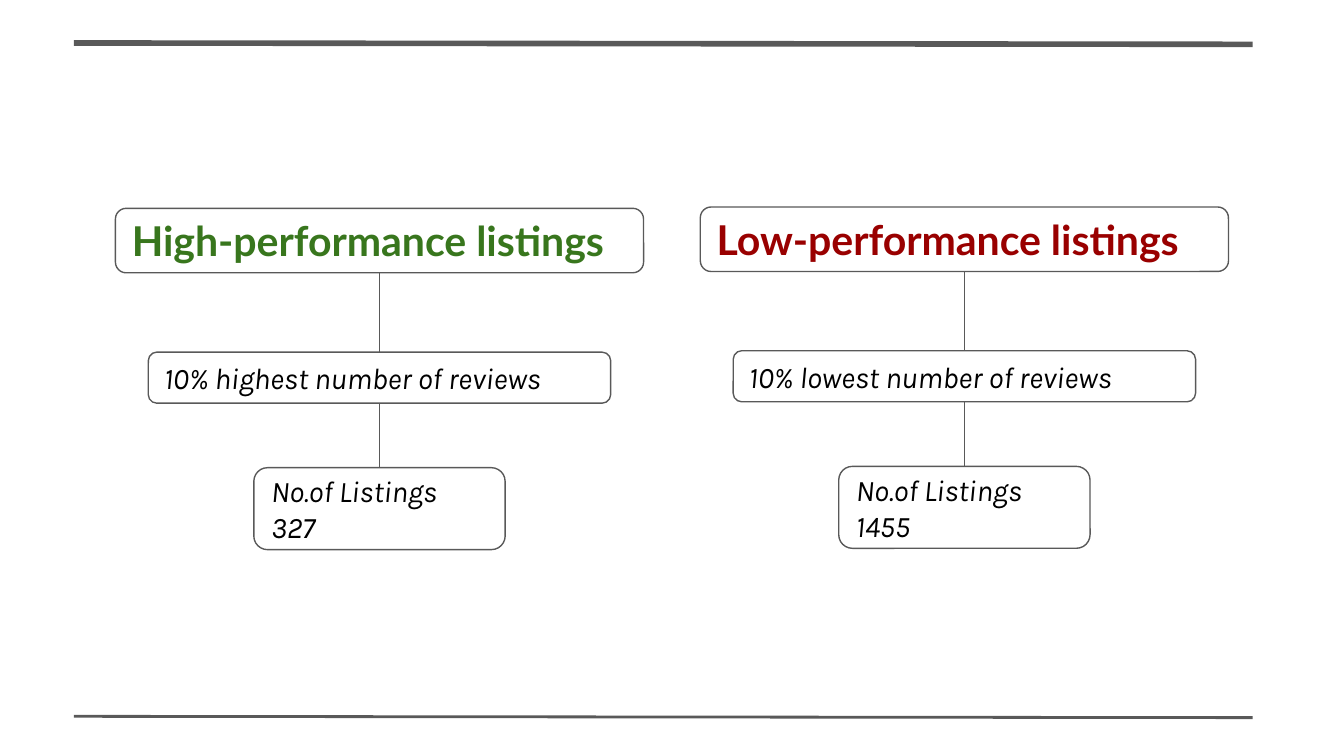
import pptx
import pptx.util
import pptx.dml.color
import pptx.enum.shapes
import pptx.enum.text
import pptx.oxml.ns
import lxml.etree
from dataclasses import dataclass


@dataclass(frozen=True)
class Theme:
    line: str = "595959"
    text: str = "000000"
    high: str = "38761D"
    low: str = "990000"
    heading_font: str = "Lato"
    body_font: str = "Karla"
    heading_size: float = 22
    body_size: float = 16
    thin: float = 0.75
    medium: float = 1.5
    thick: float = 3


def rgb(code):
    return pptx.dml.color.RGBColor.from_string(code)


class SlideBuilder:
    """Draws on one slide; lengths are cells of a grid with ten cells to the inch."""

    CELL = pptx.util.Inches(0.1)

    def __init__(self, slide, theme):
        self.slide = slide
        self.theme = theme

    def cells(self, *lengths):
        return [round(length * self.CELL) for length in lengths]

    def box(self, center, top, width, height, text, heading_color=None):
        """Rounded box centred on a column; a heading colour makes it a heading."""
        theme = self.theme
        shape = self.slide.shapes.add_shape(
            pptx.enum.shapes.MSO_SHAPE.ROUNDED_RECTANGLE,
            *self.cells(center - width / 2, top, width, height))
        shape.shadow.inherit = False
        shape.fill.background()
        shape.line.color.rgb = rgb(theme.line)
        shape.line.width = pptx.util.Pt(theme.thin)
        frame = shape.text_frame
        frame.margin_left = frame.margin_right = self.CELL
        frame.margin_top = frame.margin_bottom = self.CELL
        frame.vertical_anchor = pptx.enum.text.MSO_ANCHOR.MIDDLE
        frame.word_wrap = True
        frame.text = text
        for paragraph in frame.paragraphs:
            paragraph.alignment = pptx.enum.text.PP_ALIGN.LEFT
            for run in paragraph.runs:
                font = run.font
                font.bold = heading_color is not None
                font.italic = heading_color is None
                font.name = theme.heading_font if heading_color else theme.body_font
                font.size = pptx.util.Pt(
                    theme.heading_size if heading_color else theme.body_size)
                font.color.rgb = rgb(heading_color or theme.text)

    def line(self, left, top, right, bottom, weight):
        connector = self.slide.shapes.add_connector(
            pptx.enum.shapes.MSO_CONNECTOR.STRAIGHT,
            *self.cells(left, top, right, bottom))
        connector.line.color.rgb = rgb(self.theme.line)
        connector.line.width = pptx.util.Pt(weight)
        lxml.etree.SubElement(
            connector.element.spPr, pptx.oxml.ns.qn("a:effectLst"))

    def rule(self, top, weight):
        self.line(5.5, top, 93.2, top + 0.1, weight)

    def listing_column(self, center, top, color, texts):
        """Heading, criterion and count, stacked and joined by vertical lines."""
        sizes = [(39.3, 4.8), (34.4, 3.8), (18.7, 6.1)]
        offsets = [0, 10.7, 19.3]
        for index, (text, offset, size) in enumerate(zip(texts, offsets, sizes)):
            self.box(center, top + offset, *size, text,
                     color if index == 0 else None)
        for offset, (_, height), next_offset in zip(offsets, sizes, offsets[1:]):
            self.line(center, top + offset + height, center, top + next_offset,
                      self.theme.thin)


def main():
    presentation = pptx.Presentation()
    presentation.slide_width = pptx.util.Inches(10)
    presentation.slide_height = presentation.slide_width * 9 // 16
    theme = Theme()
    blank_layout = presentation.slide_layouts[6]
    builder = SlideBuilder(presentation.slides.add_slide(blank_layout), theme)

    builder.listing_column(28.24, 15.5, theme.high, [
        "High-performance listings",
        "10% highest number of reviews",
        "No.of Listings\n327"])
    builder.listing_column(71.76, 15.4, theme.low, [
        "Low-performance listings",
        "10% lowest number of reviews",
        "No.of Listings\n1455"])
    builder.rule(3.2, theme.thick)
    builder.rule(53.3, theme.medium)

    presentation.save("out.pptx")


if __name__ == "__main__":
    main()
